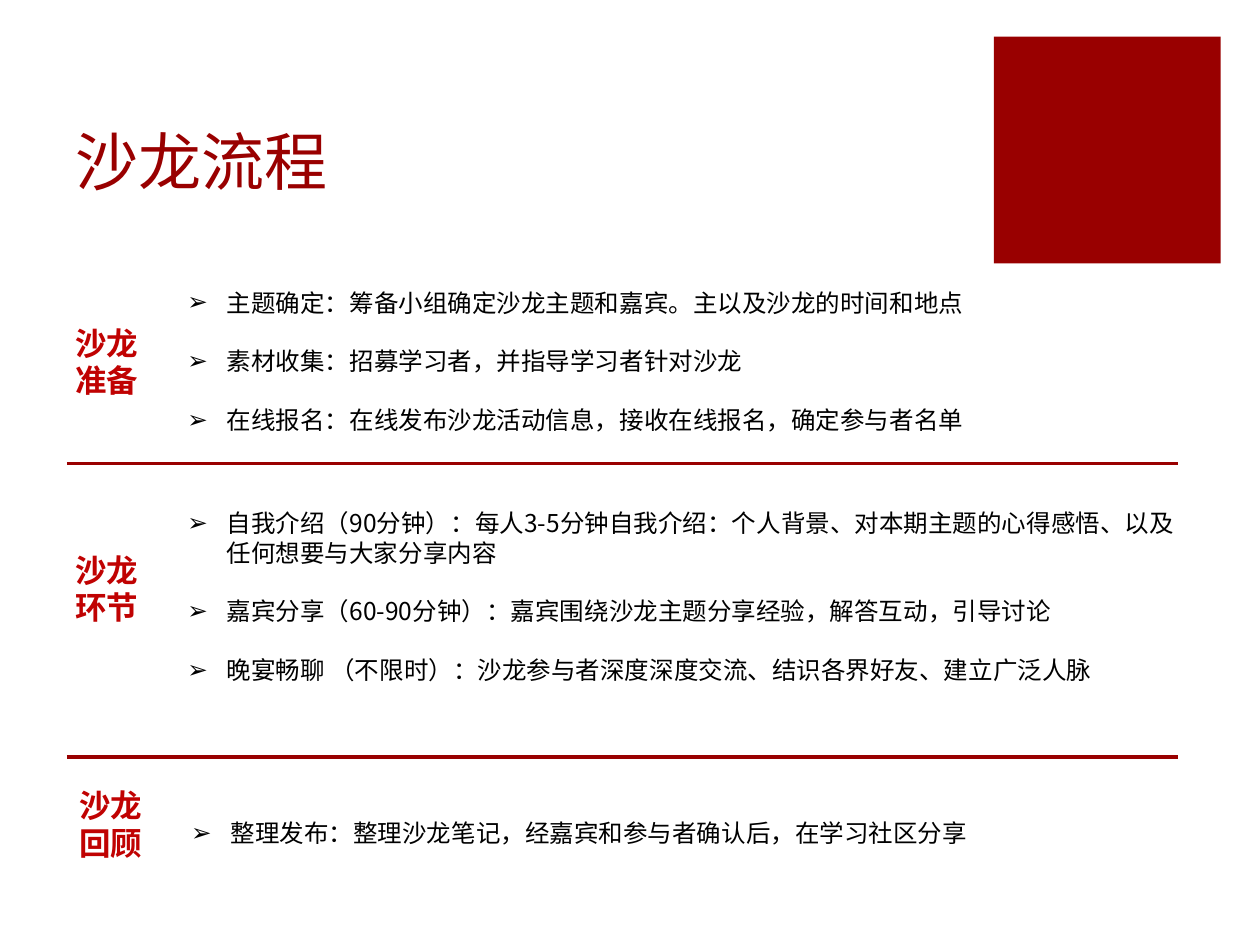
from lxml.etree import SubElement
from pptx import Presentation
from pptx.dml.color import RGBColor
from pptx.enum.shapes import MSO_CONNECTOR as CONN, MSO_SHAPE as SHAPE
from pptx.enum.text import MSO_ANCHOR as ANCHOR, PP_ALIGN as ALIGN
from pptx.oxml.ns import qn
from pptx.util import Pt

DARK_RED = RGBColor(0x99, 0x00, 0x00)
LABEL_RED = RGBColor(0xC0, 0x02, 0x02)
BLACK = RGBColor(0, 0, 0)
FONT = "Noto Sans CJK SC"


def style(p, size, color, bold=False):
    """Set font, size and colour on every run of a paragraph."""
    p.alignment = ALIGN.LEFT
    for r in p.runs:
        r.font.name, r.font.size, r.font.bold = FONT, Pt(size), bold
        r.font.color.rgb = color
        SubElement(r._r.get_or_add_rPr(), qn("a:ea")).set("typeface", FONT)


def add_text(s, box, lines, size, color, spacing, bold=False, bullet=None):
    """Add a wrapping text box with one paragraph per line."""
    tf = s.shapes.add_textbox(*map(Pt, box)).text_frame
    tf.word_wrap = True
    tf.margin_top = Pt(4.5)
    tf.text = "\n".join(lines)
    for i, p in enumerate(tf.paragraphs):
        style(p, size, color, bold)
        p.line_spacing = Pt(spacing)
        if i:
            p.space_before = Pt(spacing)
        if bullet:
            pPr = p._p.get_or_add_pPr()
            pPr.set("marL", str(Pt(22.5)))
            pPr.set("indent", str(-Pt(22.5)))
            SubElement(pPr, qn("a:buFont")).set("typeface", "Arial")
            SubElement(pPr, qn("a:buChar")).set("char", bullet)


prs = Presentation()
prs.slide_width, prs.slide_height = Pt(720), Pt(540)
s = prs.slides.add_slide(prs.slide_layouts[5])

square = s.shapes.add_shape(SHAPE.RECTANGLE, Pt(568), Pt(21), Pt(129.6), Pt(129.6))
square.shadow.inherit = False
square.fill.solid()
square.fill.fore_color.rgb = DARK_RED
square.line.fill.background()

title = s.shapes.title
title.left, title.top, title.width, title.height = Pt(36), Pt(23), Pt(512.6), Pt(90)
tf = title.text_frame
tf.text = "沙龙流程"
tf.vertical_anchor = ANCHOR.BOTTOM
tf.margin_bottom = 0
style(tf.paragraphs[0], 36, DARK_RED)

# label, label box, bullet box, bullets
sections = [
    ("沙龙准备", (36, 180.7, 64, 51), (100, 159.8, 516, 92), [
        "主题确定：筹备小组确定沙龙主题和嘉宾。主以及沙龙的时间和地点",
        "素材收集：招募学习者，并指导学习者针对沙龙",
        "在线报名：在线发布沙龙活动信息，接收在线报名，确定参与者名单"]),
    ("沙龙环节", (36, 310.3, 64, 51), (100, 285.8, 584, 109), [
        "自我介绍（90分钟）：每人3-5分钟自我介绍：个人背景、对本期主题的心得感悟、以及任何想要与大家分享内容",
        "嘉宾分享（60-90分钟）：嘉宾围绕沙龙主题分享经验，解答互动，引导讨论",
        "晚宴畅聊 （不限时）：沙龙参与者深度深度交流、结识各界好友、建立广泛人脉"]),
    ("沙龙回顾", (38.2, 445, 64, 73), (102.2, 463, 516, 24.5), [
        "整理发布：整理沙龙笔记，经嘉宾和参与者确认后，在学习社区分享"]),
]
for label, label_box, bullet_box, bullets in sections:
    add_text(s, bullet_box, bullets, 14, BLACK, 16.85, bullet="➢")
    add_text(s, label_box, [label], 18, LABEL_RED, 21.5, bold=True)

for y in (265, 432.7):
    rule = s.shapes.add_connector(CONN.STRAIGHT, Pt(38.2), Pt(y), Pt(673.2), Pt(y))
    rule.line.color.rgb = DARK_RED
    rule.line.width = Pt(2)
    SubElement(rule._element.spPr, qn("a:effectLst"))

prs.save("out.pptx")
